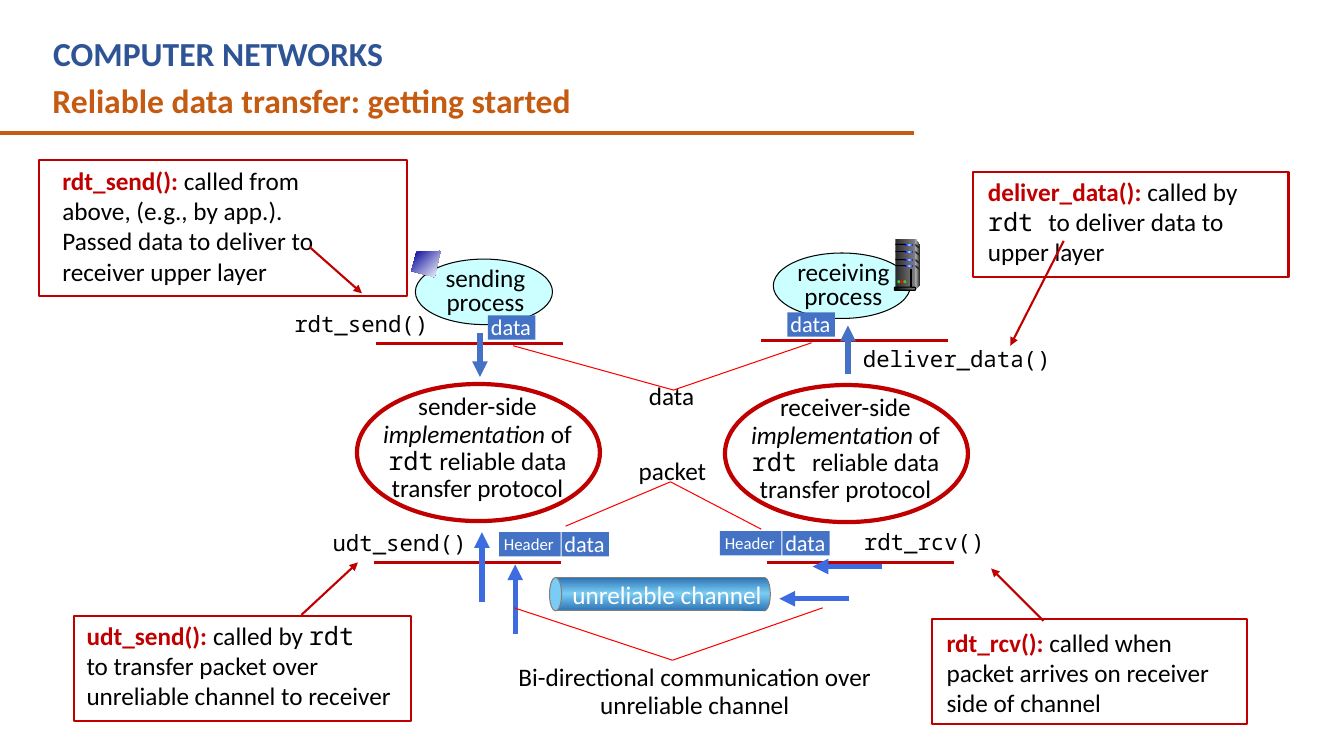
import pptx
import pptx.dml.color
import pptx.enum.shapes
import pptx.enum.text
import pptx.oxml
import pptx.oxml.ns
import pptx.util
from dataclasses import dataclass

PX = 9144
SHAPE = pptx.enum.shapes.MSO_SHAPE
ALIGN = pptx.enum.text.PP_ALIGN


@dataclass(frozen=True)
class Theme:
    font: str = "Calibri"
    mono: str = "Noto Sans Mono"
    course: str = "2F5496"
    title: str = "C55A11"
    black: str = "000000"
    white: str = "FFFFFF"
    red: str = "C00000"
    guide: str = "FF0000"
    process: str = "CCFFFF"
    chip: str = "4472C4"
    arrow: str = "3C6CDF"
    pipe: str = "7ACCF4"
    pipe_edge: str = "7F7F7F"
    heading: int = 24
    body: int = 18
    label: int = 16
    small: int = 12


T = Theme()
PIPE_GRADIENT = ([(0, "2E75B5"), (52, T.pipe), (100, "2E75B5")], 270)
DRIVE_GRADIENT = ([(0, "0000FF"), (50, "99CCFF"), (100, "0000FF")], 0)


def px(*lengths):
    return [n * PX for n in lengths]


def rgb(color):
    return pptx.dml.color.RGBColor.from_string(color)


def gradient(s, stops, angle):
    gs = "".join(f'<a:gs pos="{pos * 1000}"><a:srgbClr val="{color}"/></a:gs>' for pos, color in stops)
    xml = (f'<a:gradFill {pptx.oxml.ns.nsdecls("a")} rotWithShape="1"><a:gsLst>{gs}</a:gsLst>'
           f'<a:lin ang="{angle * 60000}" scaled="0"/></a:gradFill>')
    s.element.spPr.insert(2, pptx.oxml.parse_xml(xml))


def paint(s, fill=None, line=None, width=0.75):
    s.shadow.inherit = False
    if isinstance(fill, tuple):
        gradient(s, *fill)
    elif fill:
        s.fill.solid()
        s.fill.fore_color.rgb = rgb(fill)
    else:
        s.fill.background()
    if line:
        s.line.color.rgb = rgb(line)
        s.line.width = pptx.util.Pt(width)
    else:
        s.line.fill.background()


def shape(sp, kind, box, fill=None, line=None, width=0.75):
    paint(sp.add_shape(kind, *px(*box)), fill, line, width)


def outline(sp, points, fill):
    builder = sp.build_freeform(*points[0], scale=PX)
    builder.add_line_segments(points[1:], close=True)
    paint(builder.convert_to_shape(), fill)


def line(sp, start, end, color, width, arrow=False):
    c = sp.add_connector(pptx.enum.shapes.MSO_CONNECTOR.STRAIGHT, *px(*start, *end))
    c.line.color.rgb = rgb(color)
    c.line.width = pptx.util.Pt(width)
    ns = pptx.oxml.ns.nsdecls("a")
    if arrow:
        c.line._get_or_add_ln().append(pptx.oxml.parse_xml(f'<a:tailEnd {ns} type="triangle"/>'))
    c.element.spPr.append(pptx.oxml.parse_xml(f"<a:effectLst {ns}/>"))


def style(font, size, color, name=T.font, bold=False):
    font.size, font.name, font.bold = pptx.util.Pt(size), name, bold
    font.color.rgb = rgb(color)


def add_run(p, words, role):
    r = p.add_run()
    r.text = words
    if role == "key":
        r.font.bold = True
        r.font.color.rgb = rgb(T.red)
    elif role == "code":
        r.font.name = T.mono
    elif role == "em":
        r.font.italic = True


def text(sp, box, paragraphs, size=T.body, color=T.black, name=T.font, bold=False,
         align=ALIGN.LEFT, spacing=1.0):
    tf = sp.add_textbox(*px(*box)).text_frame
    tf.word_wrap = True
    for i, runs in enumerate(paragraphs):
        p = tf.paragraphs[0] if i == 0 else tf.add_paragraph()
        p.alignment, p.line_spacing = align, spacing
        style(p.font, size, color, name, bold)
        for words, role in runs:
            add_run(p, words, role)


def plain(sp, box, words, **options):
    text(sp, box, [[(words, "")]], **options)


def centred(sp, box, words, spacing=0.9):
    plain(sp, box, words, align=ALIGN.CENTER, spacing=spacing)


def title(s, words):
    ph = s.shapes.title
    ph.left, ph.top, ph.width, ph.height = px(42, 74, 875, 50)
    tf = ph.text_frame
    tf.vertical_anchor = pptx.enum.text.MSO_ANCHOR.TOP
    tf.text = words
    p = tf.paragraphs[0]
    p.alignment = ALIGN.LEFT
    style(p.font, T.heading, T.title, bold=True)


def data_chip(sp, x, y):
    shape(sp, SHAPE.RECTANGLE, (x, y, 47, 24), T.chip)
    plain(sp, (x - 7, y - 7, 63, 37), "data", size=T.label, color=T.white)


def packet(sp, x, y):
    data_chip(sp, x + 62, y)
    shape(sp, SHAPE.RECTANGLE, (x, y, 61, 24), T.chip)
    plain(sp, (x - 5, y - 3, 75, 30), "Header", size=T.small, color=T.white)


def process(sp, x, y, words):
    shape(sp, SHAPE.OVAL, (x, y, 136, 65), T.process, T.black)
    centred(sp, (x + 9, y + 4, 121, 59), words, 0.8)


def server(sp):
    outline(sp, [(908, 237), (912, 243), (912, 283), (907, 288)], ([(0, "DDDDDD"), (100, "333333")], 0))
    shape(sp, SHAPE.RECTANGLE, (888, 237, 20, 51), ([(0, "292929"), (100, "808080")], 0))
    for y in (242, 249, 257, 263):
        shape(sp, SHAPE.RECTANGLE, (888, y, 11, 1), T.black)
        shape(sp, SHAPE.ROUNDED_RECTANGLE, (898, y, 8, 2), DRIVE_GRADIENT)
        outline(sp, [(908, y), (912, y + 3), (912, y + 5), (908, y + 2)], "292929")
    shape(sp, SHAPE.RECTANGLE, (903, 267, 1, 18), "292929", T.black)
    for x, color in ((890, "33CC33"), (893, "FF0000"), (896, "33CC33")):
        shape(sp, SHAPE.OVAL, (x, 278, 3, 3), color)
    shape(sp, SHAPE.ROUNDED_RECTANGLE, (887, 285, 21, 3), ([(0, "000000"), (100, "808080")], 0), T.black)


def channel(sp):
    shape(sp, SHAPE.RECTANGLE, (551, 573, 207, 33), PIPE_GRADIENT, T.pipe_edge)
    shape(sp, SHAPE.OVAL, (545, 573, 12, 33), T.pipe, T.pipe_edge)
    shape(sp, SHAPE.OVAL, (752, 573, 12, 33), PIPE_GRADIENT, T.pipe_edge)
    shape(sp, SHAPE.RECTANGLE, (737, 573, 21, 33), PIPE_GRADIENT)
    plain(sp, (558, 570, 210, 40), "unreliable channel", color=T.white)


def implementation(sp, x, y, side, code, rest):
    text(sp, (x + 10, y + 5, 219, 119),
         [[(side, "")], [("implementation", "em"), (" of ", ""), (code, "code"), (rest, "")]],
         align=ALIGN.CENTER, spacing=0.9)
    shape(sp, SHAPE.OVAL, (x, y, 241, 136), None, T.red, 3)


def callout(sp, frame, box, paragraphs, start, end):
    text(sp, box, paragraphs)
    line(sp, start, end, T.red, 1.5, arrow=True)
    shape(sp, SHAPE.RECTANGLE, frame, None, T.red, 1.5)


def pointer(sp, box, words, left, tip, right):
    centred(sp, box, words)
    for start in (left, right):
        line(sp, start, tip, T.guide, 0.75)


def main():
    prs = pptx.Presentation()
    prs.slide_width, prs.slide_height = px(1333, 750)
    s = prs.slides.add_slide(prs.slide_layouts[5])
    sp = s.shapes
    title(s, "Reliable data transfer: getting started")
    plain(sp, (43, 28, 820, 50), "COMPUTER NETWORKS", size=T.heading, color=T.course, bold=True)
    line(sp, (0, 132), (907, 132), T.title, 3)

    process(sp, 412, 257, "sending process")
    data_chip(sp, 484, 313)
    outline(sp, [(437, 249), (413, 250), (408, 269), (431, 275)], ([(0, "000099"), (100, "FFFFFF")], 45))
    process(sp, 767, 251, "receiving process")
    data_chip(sp, 781, 310)
    server(sp)
    for x, y in ((373, 341), (755, 338), (371, 558), (761, 558)):
        line(sp, (x, y), (x + 185, y), T.red, 1.75)
    channel(sp)

    line(sp, (476, 330), (476, 374), T.chip, 3.75, arrow=True)
    line(sp, (841, 371), (841, 323), T.chip, 3.75, arrow=True)
    for x, y in ((478, 528), (511, 560)):
        line(sp, (x, y + 69), (x, y), T.arrow, 3.75, arrow=True)
    for x, y in ((773, 594), (806, 562)):
        line(sp, (x + 69, y), (x, y), T.arrow, 3.75, arrow=True)

    implementation(sp, 354, 381, "sender-side", "rdt", " reliable data transfer protocol")
    implementation(sp, 719, 382, "receiver-side", "rdt ", "reliable data transfer protocol")
    for x, y, w, call in ((282, 303, 185, "rdt_send()"), (320, 520, 185, "udt_send()"),
                          (847, 519, 185, "rdt_rcv()"), (846, 338, 212, "deliver_data()")):
        plain(sp, (x, y, w, 37), call, size=T.label, name=T.mono)
    packet(sp, 495, 528)
    packet(sp, 714, 527)

    callout(sp, (39, 159, 365, 135), (52, 159, 312, 135),
            [[("rdt_send(): ", "key"),
              ("called from above, (e.g., by app.). Passed data to deliver to receiver upper layer", "")]],
            (307, 245), (359, 291))
    callout(sp, (73, 611, 335, 104), (76, 610, 335, 104),
            [[("udt_send(): ", "key"), ("called by ", ""), ("rdt", "code")],
             [("to transfer packet over", "")], [("unreliable channel to receiver", "")]],
            (299, 610), (355, 558))
    callout(sp, (924, 614, 313, 104), (929, 617, 313, 104),
            [[("rdt_rcv(): ", "key"), ("called when packet arrives on receiver side of channel", "")]],
            (1035, 616), (983, 564))
    callout(sp, (965, 171, 313, 104), (970, 170, 313, 104),
            [[("deliver_data(): ", "key"), ("called by ", ""), ("rdt ", "code"),
              ("to deliver data to upper layer", "")]],
            (1055, 239), (1002, 343))

    pointer(sp, (480, 655, 418, 65), "Bi-directional communication over unreliable channel",
            (510, 603), (667, 655), (816, 603))
    pointer(sp, (457, 376, 418, 37), "data", (509, 343), (668, 387), (805, 340))
    pointer(sp, (605, 450, 124, 37), "packet", (561, 522), (665, 478), (755, 525))
    prs.save("out.pptx")


if __name__ == "__main__":
    main()
